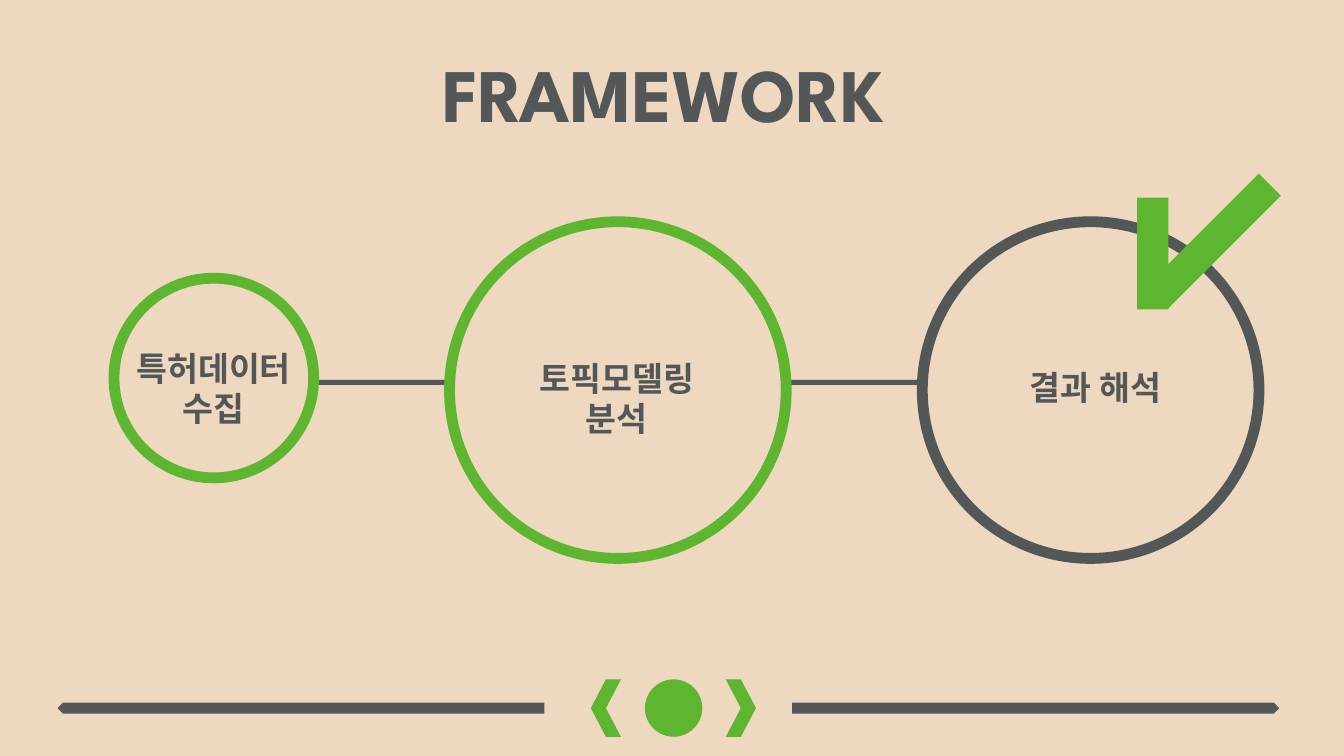
from pptx import Presentation
from pptx.dml.color import RGBColor
from pptx.enum.shapes import MSO_SHAPE as Preset
from pptx.enum.text import MSO_AUTO_SIZE as AutoSize, PP_ALIGN as Align
from pptx.util import Pt

SAND, GREEN, SLATE = "EED8C0", "5DB530", "545758"
FONT = "League Spartan"
RING_WIDTH = 7.75

TITLE = ("FRAMEWORK", (308.9, 30.2, 350.6, 72.7))
RINGS = [
    (81.4, 198.7, 142.6, GREEN),
    (321.1, 158.4, 240.5, GREEN),
    (658.8, 158.4, 240.5, SLATE),
]
LABELS = [
    (["특허데이터", "수집"], (77, 244.8, 151.2, 65.5)),
    (["토픽모델링", "분석"], (365, 252, 151.2, 65.5)),
    (["결과 해석"], (707, 258.5, 151.2, 36)),
]
LINK_LEFTS = [558.7, 221]
LINK_TOP, LINK_WIDTH, LINK_HEIGHT = 271.4, 103, 3.6
CHECK_STROKES = [
    ((855.4, 115.2, 22.3, 114.5), 45),
    ((812.2, 141.1, 22.3, 79.9), 0),
]
FOOTER_MIDDLE = 505.8
ORNAMENTS = [
    (Preset.CHEVRON, 481, 48.2, 21.6, 41.2, GREEN),
    (Preset.PENTAGON, 477.4, 262.4, 347.8, 7.9, SLATE),
]
DOT_CENTER, DOT_SIZE = 481.2, 41


def color(value):
    return RGBColor.from_string(value)


def add_figure(slide, preset, box, fill=None, line=None, rotation=0):
    shape = slide.shapes.add_shape(preset, *map(Pt, box))
    shape.shadow.inherit = False
    shape.rotation = rotation
    if fill:
        shape.fill.solid()
        shape.fill.fore_color.rgb = color(fill)
    else:
        shape.fill.background()
    if line:
        shape.line.color.rgb = color(line)
        shape.line.width = Pt(RING_WIDTH)
    else:
        shape.line.fill.background()


def add_text(slide, lines, box, size, align, wrap):
    frame = slide.shapes.add_textbox(*map(Pt, box)).text_frame
    frame.word_wrap = wrap
    frame.auto_size = AutoSize.SHAPE_TO_FIT_TEXT
    frame.text = "\n".join(lines)
    font_format = {"name": FONT, "size": Pt(size), "bold": True}
    for paragraph in frame.paragraphs:
        paragraph.alignment = align
        font = paragraph.runs[0].font
        font.color.rgb = color(SLATE)
        for name, value in font_format.items():
            setattr(font, name, value)


def main():
    presentation = Presentation()
    presentation.slide_width, presentation.slide_height = Pt(960), Pt(540)
    slide = presentation.slides.add_slide(presentation.slide_layouts[6])
    slide.background.fill.solid()
    slide.background.fill.fore_color.rgb = color(SAND)

    for left in LINK_LEFTS:
        box = (left, LINK_TOP, LINK_WIDTH, LINK_HEIGHT)
        add_figure(slide, Preset.RECTANGLE, box, SLATE)

    title, title_box = TITLE
    add_text(slide, [title], title_box, 54, Align.LEFT, False)

    dot_box = (DOT_CENTER - DOT_SIZE / 2, FOOTER_MIDDLE - DOT_SIZE / 2, DOT_SIZE, DOT_SIZE)
    add_figure(slide, Preset.OVAL, dot_box, GREEN)
    for preset, center, offset, width, height, fill in ORNAMENTS:
        for side, rotation in ((1, 0), (-1, 180)):
            left = center + side * offset - width / 2
            box = (left, FOOTER_MIDDLE - height / 2, width, height)
            add_figure(slide, preset, box, fill, rotation=rotation)

    for left, top, size, line in RINGS:
        add_figure(slide, Preset.OVAL, (left, top, size, size), line=line)
    for lines, box in LABELS:
        add_text(slide, lines, box, 24, Align.CENTER, True)
    for box, rotation in CHECK_STROKES:
        add_figure(slide, Preset.RECTANGLE, box, GREEN, rotation=rotation)

    presentation.save("out.pptx")


if __name__ == "__main__":
    main()
